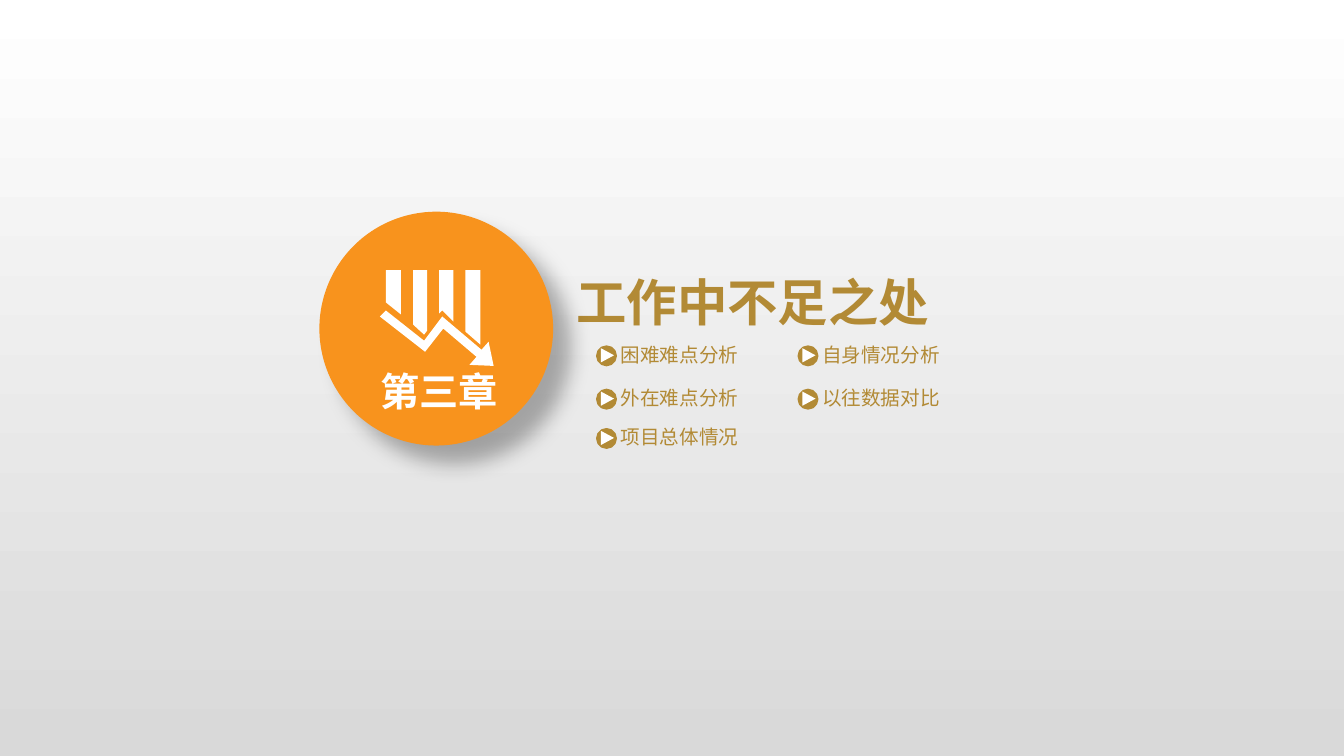
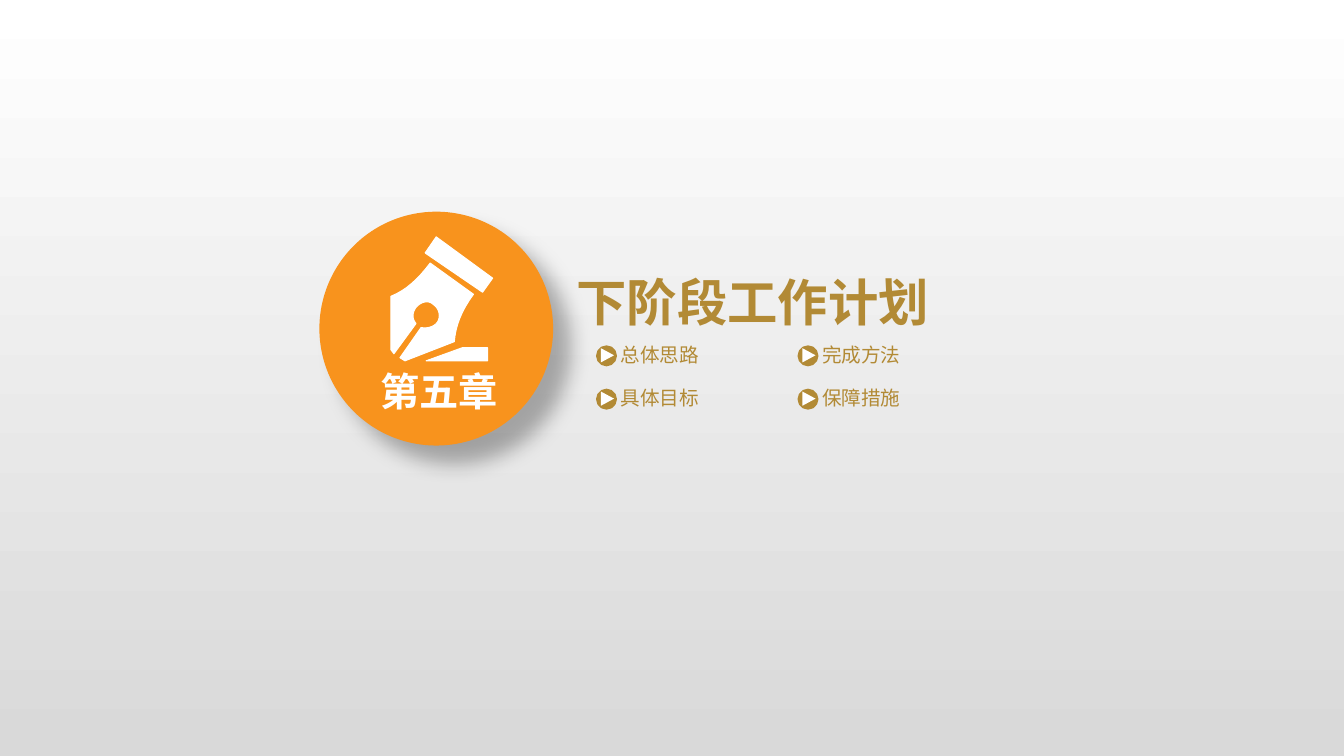
from dataclasses import dataclass
from itertools import product

from lxml import etree
from pptx import Presentation
from pptx.dml.color import RGBColor
from pptx.enum import shapes, text
from pptx.oxml import ns
from pptx.util import Inches, Pt

Point = tuple[float, float]
Contour = list[Point]


@dataclass(frozen=True)
class Theme:
    font: str = "Noto Sans CJK SC"
    gold: RGBColor = RGBColor(0xB2, 0x8A, 0x35)
    orange: RGBColor = RGBColor(0xF8, 0x93, 0x1D)
    white: RGBColor = RGBColor(0xFF, 0xFF, 0xFF)
    grey: RGBColor = RGBColor(0xD9, 0xD9, 0xD9)
    title_size: float = 36
    chapter_size: float = 28
    topic_size: float = 14


@dataclass(frozen=True)
class Icon:
    contours: list[Contour]
    line_width: float = 0


@dataclass(frozen=True)
class Chapter:
    label: str
    title: str
    topics: list[str]
    icon: Icon


THEME = Theme()
TOPIC_COLUMNS = (6.16, 8.16)
TOPIC_ROWS = (3.4, 3.83, 4.22)


def curve(start: Point, first: Point, second: Point, end: Point, steps: int = 8) -> Contour:
    """Sample a cubic Bézier curve, both ends included."""
    points = []
    for step in range(steps + 1):
        t = step / steps
        weights = ((1 - t) ** 3, 3 * t * (1 - t) ** 2, 3 * t * t * (1 - t), t ** 3)
        controls = (start, first, second, end)
        points.append((sum(w * p[0] for w, p in zip(weights, controls)),
                       sum(w * p[1] for w, p in zip(weights, controls))))
    return points


FALLING_BARS = Icon([
    [(3.98, 3.12), (3.98, 2.68), (3.83, 2.68), (3.83, 3)],
    [(4.21, 3.32), (4.24, 3.28), (4.24, 2.68), (4.1, 2.68), (4.1, 3.22)],
    [(4.5, 3.19), (4.5, 2.68), (4.36, 2.68), (4.36, 3.11), (4.39, 3.08)],
    [(4.77, 3.42), (4.77, 2.68), (4.62, 2.68), (4.62, 3.29)],
    [(4.9, 3.63), (4.85, 3.39), (4.78, 3.47), (4.39, 3.14), (4.21, 3.38), (3.83, 3.08),
     (3.77, 3.14), (4.22, 3.49), (4.4, 3.26), (4.73, 3.54), (4.66, 3.62)],
])

PEN_NIB = Icon([
    [(3.91, 3.51), (3.88, 3.47),
     *curve((3.88, 2.94), (4.03, 2.88), (4.15, 2.77), (4.27, 2.61)),
     *curve((4.7, 2.92), (4.58, 3.08), (4.52, 3.24), (4.51, 3.39)),
     (4.02, 3.58), (3.97, 3.55),
     *curve((4.18, 3.25), (4.23, 3.26), (4.3, 3.25), (4.34, 3.2)),
     *curve((4.34, 3.2), (4.38, 3.14), (4.36, 3.06), (4.3, 3.02)),
     *curve((4.3, 3.02), (4.25, 2.97), (4.17, 3), (4.13, 3.05)),
     *curve((4.13, 3.05), (4.09, 3.1), (4.09, 3.17), (4.13, 3.21))],
    [(4.23, 3.58), (4.84, 3.58), (4.84, 3.45), (4.59, 3.45)],
    [(4.79, 2.9), (4.89, 2.76), (4.33, 2.35), (4.22, 2.51)],
], line_width=0.75)

CHAPTERS = [
    Chapter("第三章", "工作中不足之处",
            ["困难难点分析", "自身情况分析", "外在难点分析", "以往数据对比", "项目总体情况"],
            FALLING_BARS),
    Chapter("第五章", "下阶段工作计划",
            ["总体思路", "完成方法", "具体目标", "保障措施"],
            PEN_NIB),
]


def place(shape, left: float, top: float, width: float, height: float) -> None:
    shape.left, shape.top = Inches(left), Inches(top)
    shape.width, shape.height = Inches(width), Inches(height)


def paint(shape, color: RGBColor, line_width: float = 0) -> None:
    shape.shadow.inherit = False
    shape.fill.solid()
    shape.fill.fore_color.rgb = color
    if line_width:
        shape.line.color.rgb = color
        shape.line.width = Pt(line_width)
    else:
        shape.line.fill.background()


def write(shape, content: str, size: float, color: RGBColor, bold: bool = False) -> None:
    """Set one left-aligned line, in the theme font for Latin and East Asian text."""
    frame = shape.text_frame
    frame.text = content
    frame.word_wrap = True
    frame.auto_size = text.MSO_AUTO_SIZE.NONE
    frame.vertical_anchor = text.MSO_ANCHOR.MIDDLE
    paragraph = frame.paragraphs[0]
    paragraph.alignment = text.PP_ALIGN.LEFT
    font = paragraph.runs[0].font
    font.name, font.size, font.bold = THEME.font, Pt(size), bold
    font.color.rgb = color
    properties = paragraph.runs[0]._r.get_or_add_rPr()
    etree.SubElement(properties, ns.qn("a:ea"), typeface=THEME.font)


def add_preset(parent, kind, left: float, top: float, width: float, height: float,
               color: RGBColor, line_width: float = 0):
    shape = parent.shapes.add_shape(
        kind, Inches(left), Inches(top), Inches(width), Inches(height))
    paint(shape, color, line_width)
    return shape


def add_label(parent, left: float, top: float, width: float, height: float):
    return parent.shapes.add_textbox(
        Inches(left), Inches(top), Inches(width), Inches(height))


def add_soft_shadow(shape) -> None:
    effects = shape._element.spPr.find(ns.qn("a:effectLst"))
    shadow = etree.SubElement(
        effects, ns.qn("a:outerShdw"), blurRad=str(Pt(15)), dist=str(Pt(18)),
        dir=str(45 * 60000), algn="tl", rotWithShape="0")
    color = etree.SubElement(shadow, ns.qn("a:srgbClr"), val="000000")
    etree.SubElement(color, ns.qn("a:alpha"), val="30000")


def add_icon(slide, icon: Icon) -> None:
    contours = [[(Inches(x), Inches(y)) for x, y in contour] for contour in icon.contours]
    builder = slide.shapes.build_freeform(*contours[0][0])
    for contour in contours:
        if contour is not contours[0]:
            builder.move_to(*contour[0])
        builder.add_line_segments(contour[1:], close=True)
    paint(builder.convert_to_shape(), THEME.white, icon.line_width)


def add_topic(slide, content: str, left: float, top: float) -> None:
    group = slide.shapes.add_group_shape()
    label = add_label(group, left, top, 1.34, 0.24)
    write(label, content, THEME.topic_size, THEME.gold)
    frame = label.text_frame
    frame.margin_left = frame.margin_top = frame.margin_right = frame.margin_bottom = 0
    frame.vertical_anchor = text.MSO_ANCHOR.TOP
    add_preset(group, shapes.MSO_SHAPE.OVAL, left - 0.23, top + 0.04, 0.18, 0.18,
               THEME.gold, 2)
    arrow = add_preset(group, shapes.MSO_SHAPE.ISOSCELES_TRIANGLE,
                       left - 0.2, top + 0.06, 0.14, 0.13, THEME.white)
    arrow.rotation = 90


def add_chapter(presentation, chapter: Chapter) -> None:
    slide = presentation.slides.add_slide(presentation.slide_layouts[5])
    title = slide.shapes.title
    place(title, 5.62, 2.73, 4.4, 0.52)
    write(title, chapter.title, THEME.title_size, THEME.gold, bold=True)

    disc = add_preset(slide, shapes.MSO_SHAPE.OVAL, 3.17, 2.1, 2.32, 2.32, THEME.orange)
    add_soft_shadow(disc)
    label = add_label(slide, 3.68, 3.6, 1.42, 0.56)
    write(label, chapter.label, THEME.chapter_size, THEME.white, bold=True)
    add_icon(slide, chapter.icon)

    for content, (top, left) in zip(chapter.topics, product(TOPIC_ROWS, TOPIC_COLUMNS)):
        add_topic(slide, content, left, top)


def set_background(master) -> None:
    fill = master.background.fill
    fill.gradient()
    fill.gradient_angle = 270
    first, last = fill.gradient_stops
    first.color.rgb, last.color.rgb = THEME.white, THEME.grey
    last.position = 0.99


def main() -> None:
    presentation = Presentation()
    presentation.slide_width, presentation.slide_height = Inches(13.34), Inches(7.5)
    set_background(presentation.slide_master)
    for chapter in CHAPTERS:
        add_chapter(presentation, chapter)
    presentation.save("out.pptx")


if __name__ == "__main__":
    main()
